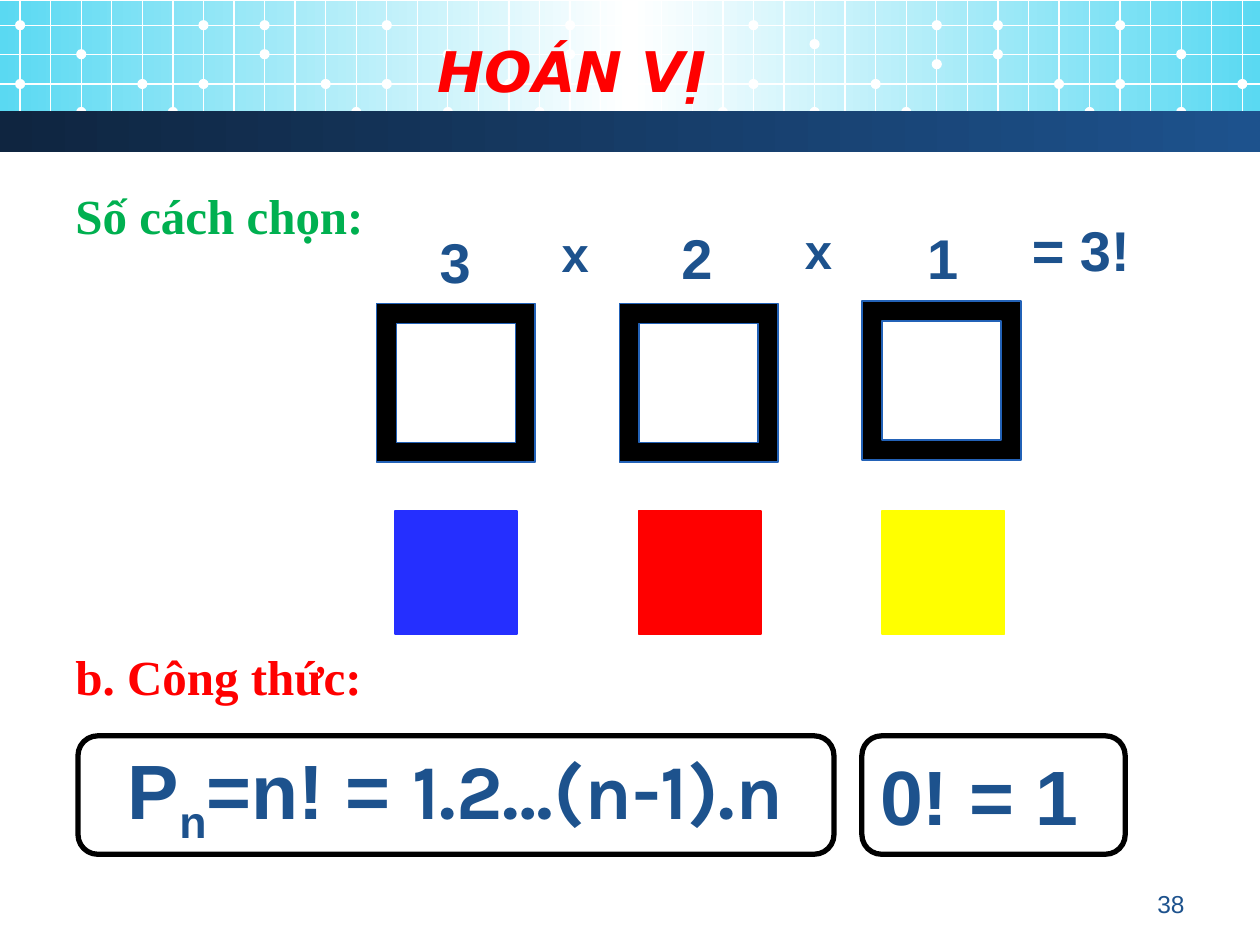
from dataclasses import dataclass

from lxml.etree import SubElement
from pptx import Presentation
from pptx.dml.color import RGBColor
from pptx.enum.shapes import MSO_CONNECTOR, MSO_SHAPE
from pptx.enum.text import MSO_ANCHOR, PP_ALIGN
from pptx.oxml.ns import qn
from pptx.shapes.autoshape import Shape
from pptx.slide import Slide
from pptx.util import Pt

WHITE, BLACK, RED = "FFFFFF", "000000", "FF0000"
NAVY, CYAN, FRAME_EDGE = "1D528D", "5AD9F2", "2362B7"
GRID_LEFT, GRID_STEP, GRID_COLUMNS = 11.5, 17.46, 41
GRID_ROWS = (14.4, 31, 48, 64)
DOT_SIZE = 5.8


@dataclass(frozen=True)
class Box:
    left: float
    top: float
    width: float
    height: float


@dataclass(frozen=True)
class Style:
    size: float
    color: str = NAVY
    font: str = "Arial"
    bold: bool = True
    italic: bool = False


@dataclass(frozen=True)
class Choice:
    """One position to fill: its count of options, frame and coloured square."""
    count: str
    count_left: float
    count_top: float
    frame_top: float
    color: str


@dataclass(frozen=True)
class Label:
    text: str
    box: Box
    style: Style
    alignment: PP_ALIGN = PP_ALIGN.LEFT


CHOICES = (
    Choice("3", 244.1, 127.4, 173.5, "252FFF"),
    Choice("2", 382.3, 125, 173.5, RED),
    Choice("1", 522.7, 125, 172.1, "FFFF00"),
)

LABELS = (
    Label("HOÁN VỊ", Box(36, 18, 581.8, 44.6),
          Style(32, RED, "DejaVu Sans", italic=True), PP_ALIGN.CENTER),
    Label("Số cách chọn:", Box(36, 102.2, 206.6, 41), Style(28, "00B050", "Times New Roman")),
    Label("x", Box(313.9, 123.8, 27.4, 41), Style(28)),
    Label("x", Box(452.9, 122.4, 27.4, 41), Style(28)),
    Label("= 3!", Box(582.5, 119.5, 106.6, 46), Style(32)),
    Label("b. Công thức:", Box(36, 365.8, 218.9, 41), Style(28, RED, "Times New Roman")),
    Label("38", Box(516.2, 504, 167.8, 25.2), Style(14, bold=False), PP_ALIGN.RIGHT),
)


def rgb(color: str) -> RGBColor:
    return RGBColor.from_string(color)


def add_box(slide: Slide, kind: MSO_SHAPE, box: Box, fill: str,
            line: str | None = None, line_width: float = 1) -> Shape:
    shape = slide.shapes.add_shape(
        kind, Pt(box.left), Pt(box.top), Pt(box.width), Pt(box.height))
    shape.shadow.inherit = False
    shape.fill.solid()
    shape.fill.fore_color.rgb = rgb(fill)
    if line is None:
        shape.line.fill.background()
    else:
        shape.line.color.rgb = rgb(line)
        shape.line.width = Pt(line_width)
    return shape


def add_gradient_band(slide: Slide, box: Box, colors: tuple[str, ...]) -> None:
    """Add a rectangle with evenly spaced colour stops from left to right."""
    shape = add_box(slide, MSO_SHAPE.RECTANGLE, box, WHITE)
    shape.fill.gradient()
    shape.fill.gradient_angle = 0
    stops = shape.fill._fill._gradFill.find(qn("a:gsLst"))
    for stop in list(stops):
        stops.remove(stop)
    for index, color in enumerate(colors):
        position = index * 100000 // (len(colors) - 1)
        stop = SubElement(stops, qn("a:gs"), pos=str(position))
        SubElement(stop, qn("a:srgbClr"), val=color)


def add_grid_line(slide: Slide, left: float, top: float, right: float, bottom: float) -> None:
    connector = slide.shapes.add_connector(
        MSO_CONNECTOR.STRAIGHT, Pt(left), Pt(top), Pt(right), Pt(bottom))
    connector.line.color.rgb = rgb(WHITE)
    connector.line.width = Pt(0.75)
    SubElement(connector._element.spPr, qn("a:effectLst"))


def format_run(run, style: Style) -> None:
    run.font.size = Pt(style.size)
    run.font.name = style.font
    run.font.bold = style.bold
    run.font.italic = style.italic
    run.font.color.rgb = rgb(style.color)


def add_label(slide: Slide, label: Label) -> None:
    box = label.box
    shape = slide.shapes.add_textbox(
        Pt(box.left), Pt(box.top), Pt(box.width), Pt(box.height))
    text_frame = shape.text_frame
    text_frame.word_wrap = True
    text_frame.vertical_anchor = MSO_ANCHOR.MIDDLE
    text_frame.text = label.text
    paragraph = text_frame.paragraphs[0]
    paragraph.alignment = label.alignment
    format_run(paragraph.runs[0], label.style)


def add_formula(slide: Slide, box: Box, parts: tuple[tuple[str, Style], ...],
                alignment: PP_ALIGN) -> Shape:
    shape = add_box(slide, MSO_SHAPE.ROUNDED_RECTANGLE, box, WHITE, BLACK, 3)
    shape.text_frame.vertical_anchor = MSO_ANCHOR.MIDDLE
    paragraph = shape.text_frame.paragraphs[0]
    paragraph.alignment = alignment
    for text, style in parts:
        run = paragraph.add_run()
        run.text = text
        format_run(run, style)
    return shape


def dot_heights(column: int) -> tuple[float, ...]:
    """Give the dot centres on a grid column: a six-column rhythm with exceptions."""
    first, second, third, fourth = GRID_ROWS
    upper_pair = (first, second)
    exceptions = {8: upper_pair, 18: upper_pair, 20: upper_pair, 26: (25.2, fourth),
                  30: (first, 36.7), 32: upper_pair, 40: (third,)}
    rhythm = {0: (first, third), 2: (second, fourth), 4: (third,), 5: (fourth,)}
    return exceptions.get(column, rhythm.get(column % 6, ()))


def add_header(slide: Slide) -> None:
    add_gradient_band(slide, Box(0, 0.7, 720, 73.4), (CYAN, WHITE, CYAN))
    for column in range(GRID_COLUMNS):
        center = GRID_LEFT + column * GRID_STEP
        add_grid_line(slide, center, 0, center, 79.2)
        for height in dot_heights(column):
            dot = Box(center - DOT_SIZE / 2, height - DOT_SIZE / 2, DOT_SIZE, DOT_SIZE)
            add_box(slide, MSO_SHAPE.OVAL, dot, WHITE)
    for row in GRID_ROWS:
        add_grid_line(slide, 0, row, 720, row)
    add_gradient_band(slide, Box(0, 63.2, 720, 23.8), ("0F2540", NAVY))


def add_choices(slide: Slide) -> None:
    for index, choice in enumerate(CHOICES):
        frame = Box(215.2 + 138.8 * index, choice.frame_top, 90.7, 90.7)
        square = Box(225.6 + 139.2 * index, 292.2, 70, 70)
        add_box(slide, MSO_SHAPE.FRAME, frame, BLACK, FRAME_EDGE)
        add_box(slide, MSO_SHAPE.RECTANGLE, square, choice.color, choice.color)
        count_box = Box(choice.count_left, choice.count_top, 33.1, 44)
        add_label(slide, Label(choice.count, count_box, Style(32)))


def main() -> None:
    presentation = Presentation()
    presentation.slide_width, presentation.slide_height = Pt(720), Pt(540)
    slide = presentation.slides.add_slide(presentation.slide_layouts[6])
    add_header(slide)
    add_choices(slide)
    for label in LABELS:
        add_label(slide, label)

    large = Style(44)
    permutation = add_formula(
        slide, Box(44.6, 420.5, 432, 67.7),
        (("P", large), ("n", large), ("=n! = ", large), ("1.2…(n-1).n", Style(44, font="Karla"))),
        PP_ALIGN.CENTER)
    subscript = permutation.text_frame.paragraphs[0].runs[1]
    subscript.font._element.set("baseline", "-25000")
    add_formula(slide, Box(492.5, 420.5, 150.5, 67.7), (("0! = 1", large),), PP_ALIGN.LEFT)
    presentation.save("out.pptx")


if __name__ == "__main__":
    main()
